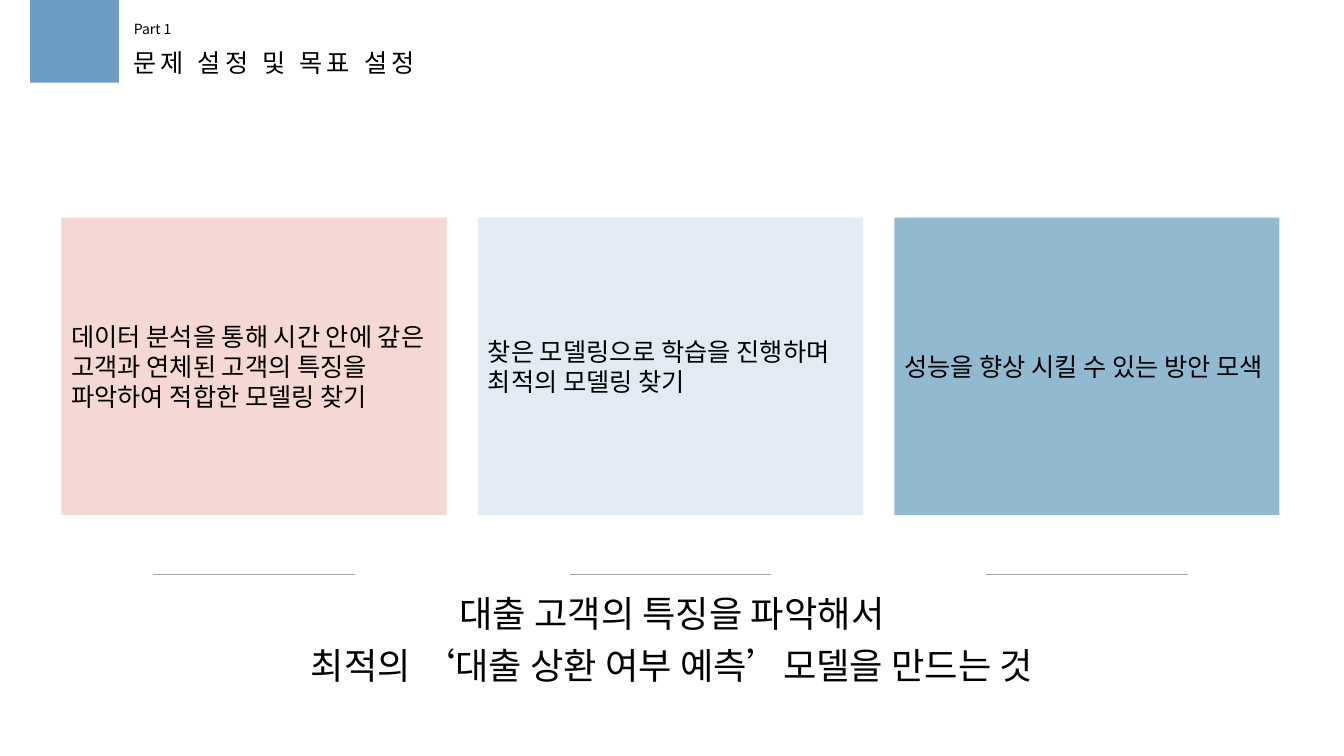
import pptx
import pptx.util
import pptx.dml.color
import pptx.enum.shapes
import pptx.enum.text
import pptx.oxml
import pptx.oxml.ns

Inches = pptx.util.Inches
Pt = pptx.util.Pt
RGBColor = pptx.dml.color.RGBColor
Align = pptx.enum.text.PP_ALIGN
Anchor = pptx.enum.text.MSO_ANCHOR
AutoSize = pptx.enum.text.MSO_AUTO_SIZE

FONT = "Noto Sans CJK KR"
BLACK = RGBColor(0x00, 0x00, 0x00)
HEADER_BLUE = RGBColor(0x6C, 0x9C, 0xC2)
PINK = RGBColor(0xF5, 0xD8, 0xD3)
PALE_BLUE = RGBColor(0xE2, 0xEB, 0xF3)
MID_BLUE = RGBColor(0x91, 0xBA, 0xD0)
RULE_GRAY = RGBColor(0xA6, 0xA6, 0xA6)

LABEL_FRAME = {
    "word_wrap": False,
    "auto_size": AutoSize.SHAPE_TO_FIT_TEXT,
    "vertical_anchor": Anchor.TOP,
}
CARD_FRAME = {"word_wrap": True, "vertical_anchor": Anchor.MIDDLE}
GOAL_FRAME = {
    "word_wrap": True,
    "vertical_anchor": Anchor.TOP,
    "margin_left": Inches(0.1),
    "margin_right": Inches(0.1),
    "margin_top": Inches(0.1),
    "margin_bottom": Inches(0.1),
}
LEFT_TEXT = {"alignment": Align.LEFT}
CARD_TEXT = {"alignment": Align.LEFT, "space_after": Pt(12)}
GOAL_TEXT = {"alignment": Align.CENTER, "line_spacing": 0.8, "space_after": Pt(12)}

CARDS = [
    ("데이터 분석을 통해 시간 안에 갚은 고객과 연체된 고객의 특징을 파악하여 적합한 모델링 찾기", PINK),
    ("찾은 모델링으로 학습을 진행하며 최적의 모델링 찾기", PALE_BLUE),
    ("성능을 향상 시킬 수 있는 방안 모색", MID_BLUE),
]
GOAL_LINES = ["대출 고객의 특징을 파악해서", "최적의 ‘대출 상환 여부 예측’모델을 만드는 것"]


def apply(target, values):
    for name, value in values.items():
        setattr(target, name, value)


def write_text(shape, lines, size, frame_format, paragraph_format, spacing=0):
    frame = shape.text_frame
    apply(frame, frame_format)
    for index, line in enumerate(lines):
        paragraph = frame.add_paragraph() if index else frame.paragraphs[0]
        apply(paragraph, paragraph_format)
        run = paragraph.add_run()
        run.text = line
        apply(run.font, {"name": FONT, "size": Pt(size)})
        run.font.color.rgb = BLACK
        properties = run.font._element
        east_asian = pptx.oxml.parse_xml(
            f'<a:ea {pptx.oxml.ns.nsdecls("a")} typeface="{FONT}"/>'
        )
        properties.find(pptx.oxml.ns.qn("a:latin")).addnext(east_asian)
        if spacing:
            properties.set("spc", str(spacing * 100))


def add_block(slide, left, top, width, height, color):
    block = slide.shapes.add_shape(
        pptx.enum.shapes.MSO_SHAPE.RECTANGLE,
        Inches(left), Inches(top), Inches(width), Inches(height),
    )
    block.shadow.inherit = False
    block.fill.solid()
    block.fill.fore_color.rgb = color
    block.line.fill.background()
    return block


def add_header(slide, left, top):
    add_block(slide, left, top, 0.88, 0.82, HEADER_BLUE)
    part = slide.shapes.add_textbox(
        Inches(left + 0.93), Inches(top + 0.15), Inches(0.61), Inches(0.27)
    )
    write_text(part, ["Part 1"], 10, LABEL_FRAME, LEFT_TEXT)
    title = slide.shapes.title
    apply(title, {
        "left": Inches(left + 0.92),
        "top": Inches(top + 0.42),
        "width": Inches(3.26),
        "height": Inches(0.4),
    })
    write_text(title, ["문제 설정 및 목표 설정"], 18, LABEL_FRAME, LEFT_TEXT, spacing=3)


def add_rule(slide, left, top, width):
    rule = slide.shapes.add_connector(
        pptx.enum.shapes.MSO_CONNECTOR.STRAIGHT,
        Inches(left), Inches(top), Inches(left + width), Inches(top),
    )
    rule.line.color.rgb = RULE_GRAY
    rule.line.width = Pt(0.5)
    rule._element.spPr.append(
        pptx.oxml.parse_xml(f'<a:effectLst {pptx.oxml.ns.nsdecls("a")}/>')
    )


def add_cards(slide, left, top, width, height, gap):
    card_width = (width - gap * (len(CARDS) - 1)) / len(CARDS)
    for index, (text, color) in enumerate(CARDS):
        card_left = left + index * (card_width + gap)
        card = add_block(slide, card_left, top, card_width, height, color)
        write_text(card, [text], 18, CARD_FRAME, CARD_TEXT)
        add_rule(slide, card_left + 0.91, top + height + 0.59, 2)


def add_goal(slide, left, top, width, height):
    goal = slide.shapes.add_textbox(
        Inches(left), Inches(top), Inches(width), Inches(height)
    )
    write_text(goal, GOAL_LINES, 25.9, GOAL_FRAME, GOAL_TEXT)


def main():
    presentation = pptx.Presentation()
    presentation.slide_width = Inches(13.33)
    presentation.slide_height = Inches(7.5)
    slide = presentation.slides.add_slide(presentation.slide_layouts[5])
    add_header(slide, 0.3, 0)
    add_cards(slide, 0.61, 2.16, 12.08, 2.95, 0.31)
    add_goal(slide, 1.36, 5.85, 10.61, 1.08)
    presentation.save("out.pptx")


if __name__ == "__main__":
    main()
